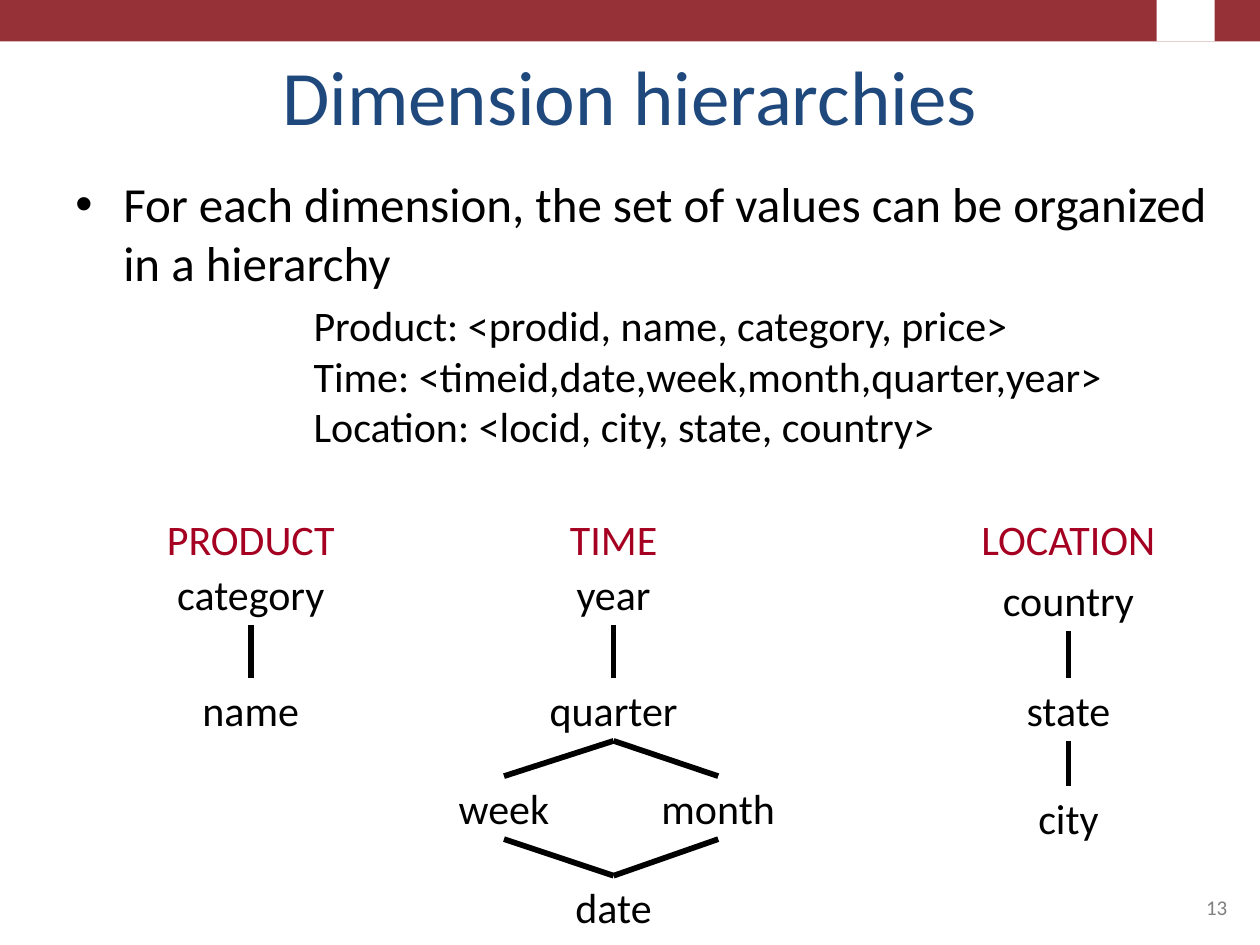
from lxml import etree
from pptx import Presentation
from pptx import util as u
from pptx.dml.color import RGBColor
from pptx.enum import shapes, text
from pptx.oxml import ns

HUES = {"band": "963237", "title": "1F497D", "head": "A50021",
        "ink": "000000", "page": "808080", "white": "FFFFFF"}
LEFT, MID, RIGHT = text.PP_ALIGN.LEFT, text.PP_ALIGN.CENTER, text.PP_ALIGN.RIGHT
TOP, LOW = text.MSO_ANCHOR.TOP, text.MSO_ANCHOR.BOTTOM
NODE_H = 0.5

deck = Presentation()
deck.slide_width, deck.slide_height = u.Inches(10), u.Inches(7.5)
slide = deck.slides.add_slide(deck.slide_layouts[6])


def write(place, lines, size, hue="ink", align=LEFT, anchor=TOP, wrap=True, bullet=False):
    """Add a text box at place (left, top, width, height in inches)."""
    box = slide.shapes.add_textbox(*map(u.Inches, place))
    frame = box.text_frame
    fit = text.MSO_AUTO_SIZE.NONE if wrap else text.MSO_AUTO_SIZE.SHAPE_TO_FIT_TEXT
    for key, val in {"word_wrap": wrap, "vertical_anchor": anchor, "auto_size": fit}.items():
        setattr(frame, key, val)
    frame.text = "\n".join(lines)
    for para in frame.paragraphs:
        para.alignment = align
        if bullet:
            props = para._p.get_or_add_pPr()
            props.set("marL", str(u.Inches(0.38)))
            props.set("indent", str(u.Inches(-0.38)))
            etree.SubElement(props, ns.qn("a:buFont")).set("typeface", "Arial")
            etree.SubElement(props, ns.qn("a:buChar")).set("char", "•")
        for run in para.runs:
            for key, val in {"name": "Calibri", "size": u.Pt(size)}.items():
                setattr(run.font, key, val)
            run.font.color.rgb = RGBColor.from_string(HUES[hue])
    return box


# Top band, with a plain block where the logo sits
for left, width, hue in [(0, 10, "band"), (9.18, 0.46, "white")]:
    bar = slide.shapes.add_shape(shapes.MSO_SHAPE.RECTANGLE, u.Inches(left), 0,
                                 u.Inches(width), u.Inches(0.33))
    bar.shadow.inherit = False
    bar.fill.solid()
    bar.fill.fore_color.rgb = RGBColor.from_string(HUES[hue])
    bar.line.fill.background()

# Title, body and page number
write((0.5, 0.3, 9, 0.87), ["Dimension hierarchies"], 44, "title", MID, LOW)
write((0.5, 1.33, 9.22, 1.06),
      ["For each dimension, the set of values can be organized in a hierarchy"],
      28, bullet=True)
write((2.39, 2.33, 6.52, 1.72),
      ["Product: <prodid, name, category, price>",
       "Time: <timeid,date,week,month,quarter,year>",
       "Location: <locid, city, state, country>"], 24, wrap=False)
write((7.17, 6.83, 2.67, 0.52), ["13"], 12, "page", RIGHT, LOW)

# Trees: label, centre, top, width
for label, mid, width in [("PRODUCT", 1.99, 1.54), ("TIME", 4.87, 0.9),
                          ("LOCATION", 8.48, 1.6)]:
    write((mid - width / 2, 4.03, width, NODE_H), [label], 24, "head", MID, wrap=False)

nodes = {}
for label, mid, top, width in [
    ("category", 1.99, 4.46, 1.38), ("name", 1.99, 5.38, 0.98),
    ("year", 4.87, 4.46, 0.8), ("quarter", 4.87, 5.38, 1.23),
    ("week", 4, 6.16, 0.93), ("month", 5.7, 6.16, 1.11), ("date", 4.87, 6.95, 0.81),
    ("country", 8.48, 4.51, 1.25), ("state", 8.48, 5.38, 0.87), ("city", 8.48, 6.24, 0.69),
]:
    nodes[label] = write((mid - width / 2, top, width, NODE_H), [label], 24,
                         align=MID, wrap=False)

# Links from the bottom of each parent to the top of its child
for high, low in [("category", "name"), ("year", "quarter"), ("quarter", "week"),
                  ("quarter", "month"), ("week", "date"), ("month", "date"),
                  ("country", "state"), ("state", "city")]:
    link = slide.shapes.add_connector(shapes.MSO_CONNECTOR.STRAIGHT, 0, 0, 0, 0)
    link.begin_connect(nodes[high], 2)
    link.end_connect(nodes[low], 0)
    link.line.width = u.Pt(3.25)
    link.line.color.rgb = RGBColor.from_string(HUES["ink"])
    etree.SubElement(link._element.spPr, ns.qn("a:effectLst"))

deck.save("out.pptx")
